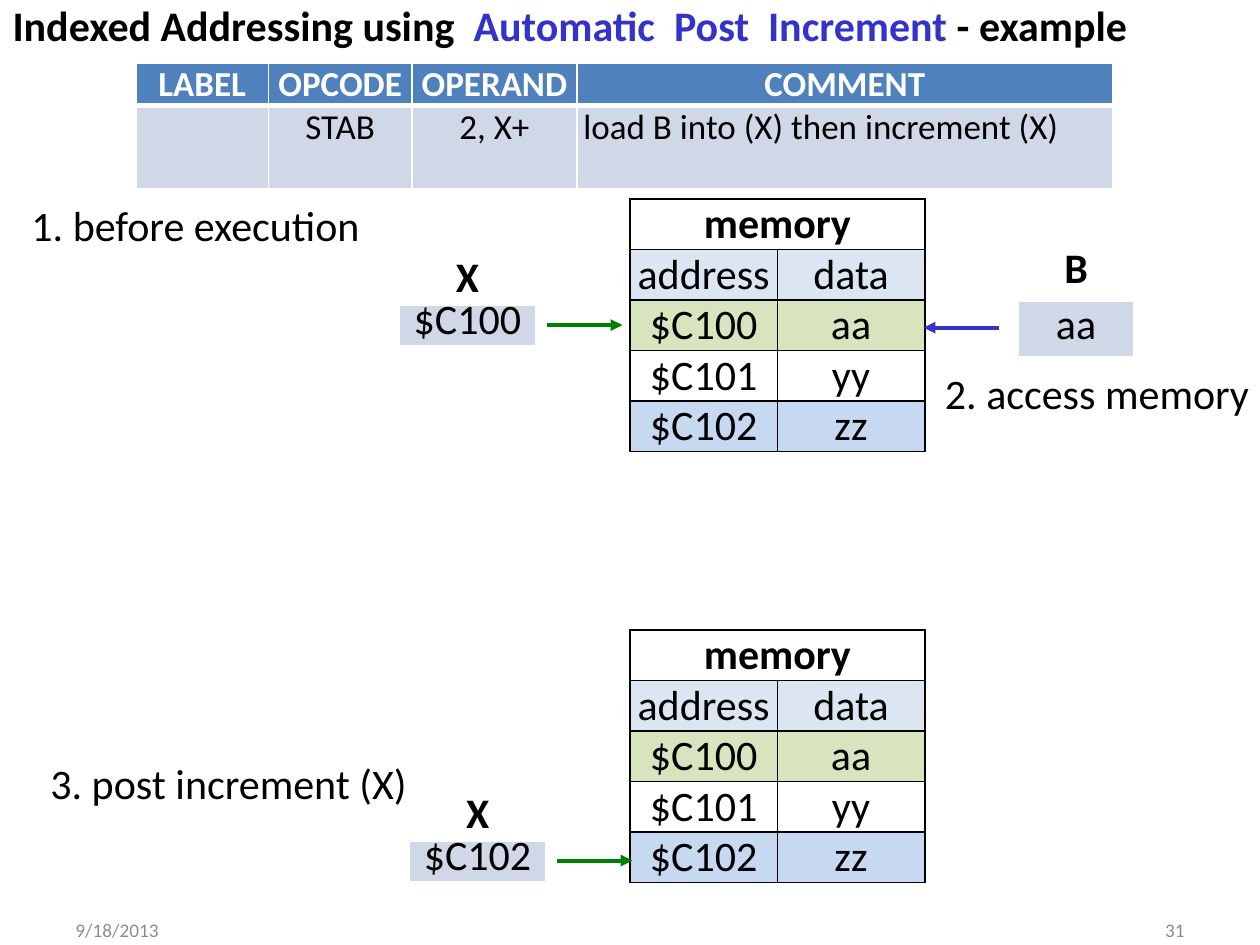
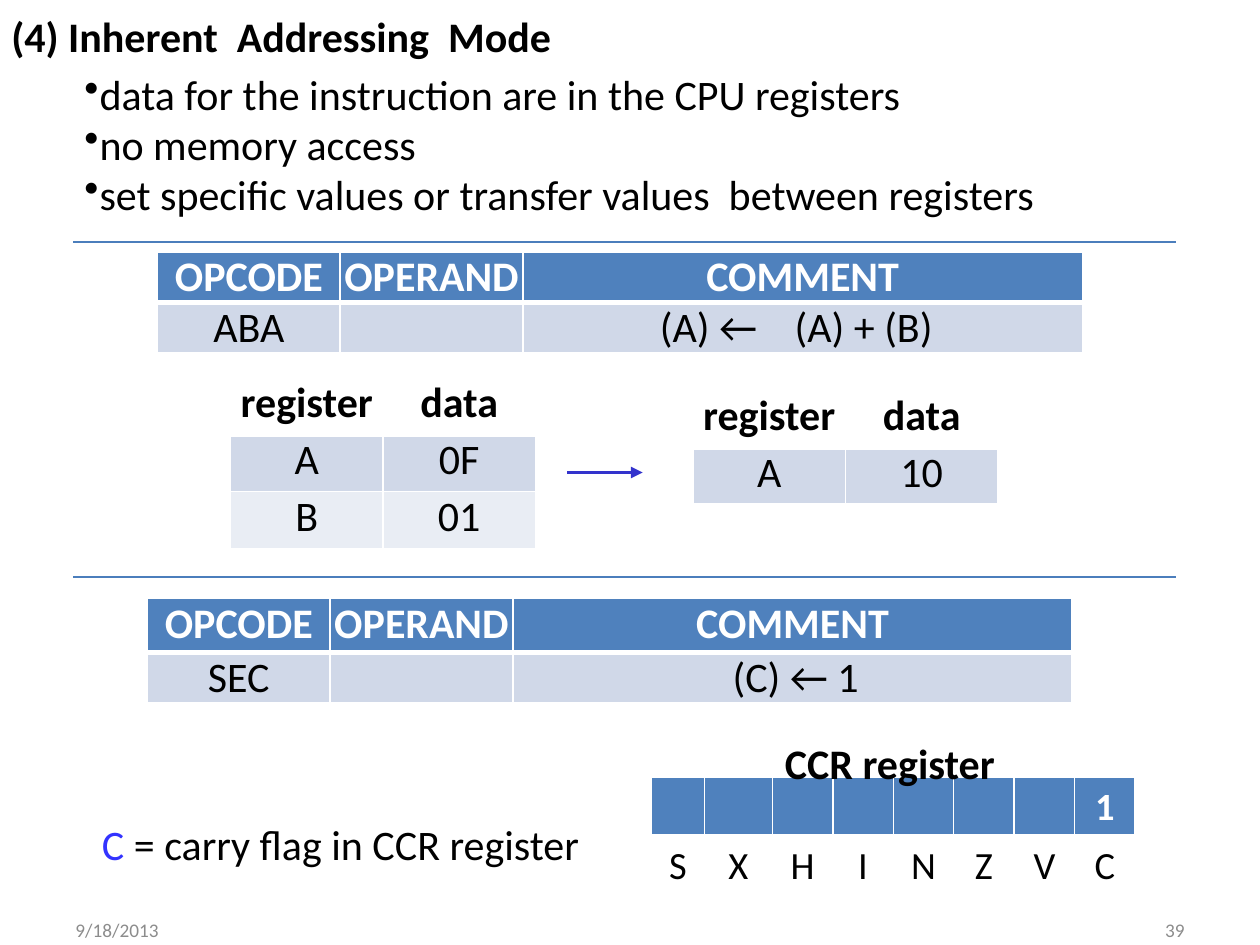
from dataclasses import dataclass

from lxml import etree
from pptx import Presentation
from pptx.dml.color import RGBColor
from pptx.enum.shapes import MSO_CONNECTOR
from pptx.enum.text import MSO_ANCHOR, MSO_AUTO_SIZE, PP_ALIGN
from pptx.oxml.ns import qn
from pptx.util import Inches, Pt

LEFT, CENTER, RIGHT = PP_ALIGN.LEFT, PP_ALIGN.CENTER, PP_ALIGN.RIGHT
MIDDLE = MSO_ANCHOR.MIDDLE
FIT_SHAPE = MSO_AUTO_SIZE.SHAPE_TO_FIT_TEXT
STRAIGHT = MSO_CONNECTOR.STRAIGHT

FONT = "Calibri"
BLACK = RGBColor(0x00, 0x00, 0x00)
WHITE = RGBColor(0xFF, 0xFF, 0xFF)
GRAY = RGBColor(0x8C, 0x8C, 0x8C)
BLUE = RGBColor(0x33, 0x33, 0xCC)
FLAG_BLUE = RGBColor(0x33, 0x33, 0xFF)
GREEN = RGBColor(0x00, 0x80, 0x00)
RULE_BLUE = RGBColor(0x4B, 0x7E, 0xBC)
HEADER_BLUE = RGBColor(0x4F, 0x81, 0xBD)
BAND_DARK = RGBColor(0xD0, 0xD8, 0xE8)
BAND_LIGHT = RGBColor(0xE9, 0xED, 0xF4)
MEMORY_HEAD = RGBColor(0xDC, 0xE6, 0xF2)
MEMORY_GREEN = RGBColor(0xD7, 0xE4, 0xBD)
MEMORY_BLUE = RGBColor(0xC6, 0xD9, 0xF1)

NO_PAD = (0, 0, 0, 0)
REGISTER_PAD = (0, 0, 0, 0.05)
CCR_PAD = (0.1, 0.05, 0.1, 0.05)
COMMENT_PAD = (0.05, 0, 0, 0)


@dataclass
class Row:
    """Cells that share one look; a cell is a string or a list of spans."""
    cells: list
    height: float
    fill: RGBColor = None
    color: RGBColor = BLACK
    bold: bool = False
    bottom: float = 1


@dataclass
class Span:
    text: str
    color: RGBColor = None
    spacing: float = 0  # extra points after each letter


# ---- Shared parts ----
def write(para, content, size=24, color=BLACK, bold=False, align=LEFT):
    spans = [Span(content)] if isinstance(content, str) else content
    para.alignment = align
    for span in spans:
        run = para.add_run()
        run.text = span.text
        font = run.font
        font.name, font.size, font.bold = FONT, Pt(size), bold
        font.color.rgb = span.color or color
        if span.spacing:
            run._r.get_or_add_rPr().set("spc", str(int(span.spacing * 100)))


def set_margins(item, pad):
    item.margin_left, item.margin_top, item.margin_right, item.margin_bottom = map(Inches, pad)


def add_label(page, left, top, width, content, bold=False):
    box = page.shapes.add_textbox(*map(Inches, (left, top, width, 0.4)))
    frame = box.text_frame
    frame.word_wrap = False
    frame.auto_size = FIT_SHAPE
    set_margins(frame, NO_PAD)
    write(frame.paragraphs[0], content, bold=bold)
    return frame


def add_bullets(page, left, top, width, lines):
    frame = add_label(page, left, top, width, lines[0])
    for line in lines[1:]:
        write(frame.add_paragraph(), line)
    for para in frame.paragraphs:
        properties = para._p.get_or_add_pPr()
        properties.set("marL", str(Inches(0.12)))
        properties.set("indent", str(-Inches(0.12)))
        etree.SubElement(properties, qn("a:buChar")).set("char", "•")


def add_footer(page, number):
    for left, text, align in ((0.5, "9/18/2013", LEFT), (7.17, number, RIGHT)):
        box = page.shapes.add_textbox(*map(Inches, (left, 7.29, 2.33, 0.18)))
        frame = box.text_frame
        frame.word_wrap = True
        frame.vertical_anchor = MIDDLE
        write(frame.paragraphs[0], text, 11, GRAY, align=align)


def add_line(page, start, end, color, width, arrow=True):
    line = page.shapes.add_connector(STRAIGHT, *map(Inches, start + end))
    line.line.color.rgb = color
    line.line.width = Pt(width)
    if arrow:
        etree.SubElement(line.line._get_or_add_ln(), qn("a:tailEnd")).set("type", "triangle")
    etree.SubElement(line._element.spPr, qn("a:effectLst"))


def add_arrow(page, left, top, length, color):
    add_line(page, (left, top), (left + length, top), color, 2.25)


# ---- Tables ----
def set_borders(cell, color, widths):
    properties = cell._tc.get_or_add_tcPr()
    for side, width in zip("LRTB", widths):
        border = etree.SubElement(properties, qn(f"a:ln{side}"), w=str(Pt(width)))
        fill = etree.SubElement(border, qn("a:solidFill"))
        etree.SubElement(fill, qn("a:srgbClr"), val=str(color))


def add_grid(page, left, top, widths, rows, size=24, pad=NO_PAD, border=WHITE, line_height=None):
    total = sum(widths), sum(row.height for row in rows)
    frame = page.shapes.add_table(len(rows), len(widths), *map(Inches, (left, top) + total))
    table = frame.table
    table.first_row = table.horz_banding = False
    for column, width in zip(table.columns, widths):
        column.width = Inches(width)
    above = 1
    for y, row in enumerate(rows):
        table.rows[y].height = Inches(row.height)
        for x, content in enumerate(row.cells):
            cell = table.cell(y, x)
            set_margins(cell, pad)
            set_borders(cell, border, (1, 1, above, row.bottom))
            if row.fill is None:
                cell.fill.background()
            else:
                cell.fill.solid()
                cell.fill.fore_color.rgb = row.fill
            para = cell.text_frame.paragraphs[0]
            if line_height:
                para.line_spacing = Pt(line_height)
            if content:
                write(para, content, size, row.color, row.bold, CENTER)
        above = row.bottom
    return table


def add_instruction(page, left, top, widths, heights, values, size=24):
    names = ["LABEL", "OPCODE", "OPERAND", "COMMENT"][-len(widths):]
    table = add_grid(page, left, top, widths, [
        Row(names, heights[0], HEADER_BLUE, WHITE, True, 3),
        Row(values, heights[1], BAND_DARK),
    ], size)
    comment = table.cell(1, len(widths) - 1)
    set_margins(comment, COMMENT_PAD)
    return comment


def add_memory(page, left, top):
    table = add_grid(page, left, top, [1.17] * 2, [
        Row(["memory", ""], 0.4, bold=True),
        Row(["address", "data"], 0.4, MEMORY_HEAD),
        Row(["$C100", "aa"], 0.4, MEMORY_GREEN),
        Row(["$C101", "yy"], 0.4),
        Row(["$C102", "zz"], 0.4, MEMORY_BLUE),
    ], border=BLACK)
    table.cell(0, 0).merge(table.cell(0, 1))


def add_pointer(page, left, top, address):
    """Index register X with the arrow to the memory cell it points at."""
    add_grid(page, left, top, [1.08], [
        Row(["X"], 0.33, bold=True, bottom=3),
        Row([address], 0.33, BAND_DARK),
    ], line_height=24)
    add_arrow(page, left + 1.17, top + 0.5, 0.6, GREEN)


def add_registers(page, left, top, width, names, *values):
    rows = [Row(names, 0.45, bold=True, bottom=3)]
    rows += [Row(cells, 0.45, fill) for cells, fill in zip(values, (BAND_DARK, BAND_LIGHT))]
    add_grid(page, left, top, [width] * len(names), rows, pad=REGISTER_PAD)


def add_flags(page, left, top):
    """Condition code register with its flag letters below."""
    flags = list("SXHINZVC")
    add_grid(page, left, top, [0.42, 0.54] + [0.48] * 6, [
        Row([""] * 7 + ["1"], 0.47, HEADER_BLUE, WHITE, True, 3),
        Row(flags, 0.47),
    ], 22, CCR_PAD)
    add_label(page, left + 1.06, top - 0.32, 1.68, "CCR register", True)


# ---- Slides ----
def build_post_increment(page):
    add_footer(page, "31")
    add_label(page, 0.1, 0, 8.93, [
        Span("Indexed Addressing using  "),
        Span("Automatic  Post  Increment ", BLUE),
        Span("- example"),
    ], True)
    comment = add_instruction(
        page, 1.08, 0.5, [1.05, 1.14, 1.31, 4.25], [0.34, 0.66],
        ["", "STAB", "2, X+", "load B into (X) then increment (X)"], 20)
    comment.text_frame.paragraphs[0].alignment = LEFT

    # Before execution and memory access
    add_label(page, 0.25, 1.58, 2.63, "1. before execution")
    add_pointer(page, 3.17, 2.08, "$C100")
    add_memory(page, 5, 1.58)
    add_arrow(page, 7.93, 2.6, -0.6, BLUE)
    add_registers(page, 8.08, 1.93, 0.92, ["B"], ["aa"])
    add_label(page, 7.5, 2.92, 2.43, "2. access memory")

    # After the increment
    add_label(page, 0.4, 6.01, 2.94, "3. post increment (X)")
    add_memory(page, 5, 5)
    add_pointer(page, 3.25, 6.33, "$C102")


def build_inherent_mode(page):
    add_footer(page, "39")
    add_label(page, 0.09, 0.08, 4.33, "(4) Inherent  Addressing  Mode", True)
    add_bullets(page, 0.67, 0.54, 7.62, [
        "data for the instruction are in the CPU registers",
        "no memory access",
        "set specific values or transfer values  between registers",
    ])
    for top in (1.92, 4.58):
        add_line(page, (0.58, top), (9.33, top), RULE_BLUE, 0.75, arrow=False)

    # Adding the registers
    widths = [1.45, 1.45, 4.44]
    total = [Span("(A) "), Span("←", spacing=16), Span(" (A) + (B)")]
    comment = add_instruction(page, 1.25, 2, widths, [0.4, 0.4], ["ABA", "", total])
    comment.margin_right = Inches(0.15)
    names = ["register", "data"]
    add_registers(page, 1.83, 3, 1.21, names, ["A", "0F"], ["B", "01"])
    add_arrow(page, 4.5, 3.75, 0.6, BLUE)
    add_registers(page, 5.5, 3.1, 1.21, names, ["A", "10"])

    # Setting the carry flag
    add_instruction(page, 1.17, 4.75, widths, [0.43, 0.4], ["SEC", "", "(C) ← 1"])
    add_label(page, 0.81, 6.5, 3.94, [Span("C ", FLAG_BLUE), Span("= carry flag in CCR register")])
    add_flags(page, 5.17, 6.17)


def main():
    deck = Presentation()
    deck.slide_width, deck.slide_height = Inches(10), Inches(7.5)
    for build in (build_post_increment, build_inherent_mode):
        build(deck.slides.add_slide(deck.slide_layouts[6]))
    deck.save("out.pptx")


if __name__ == "__main__":
    main()
